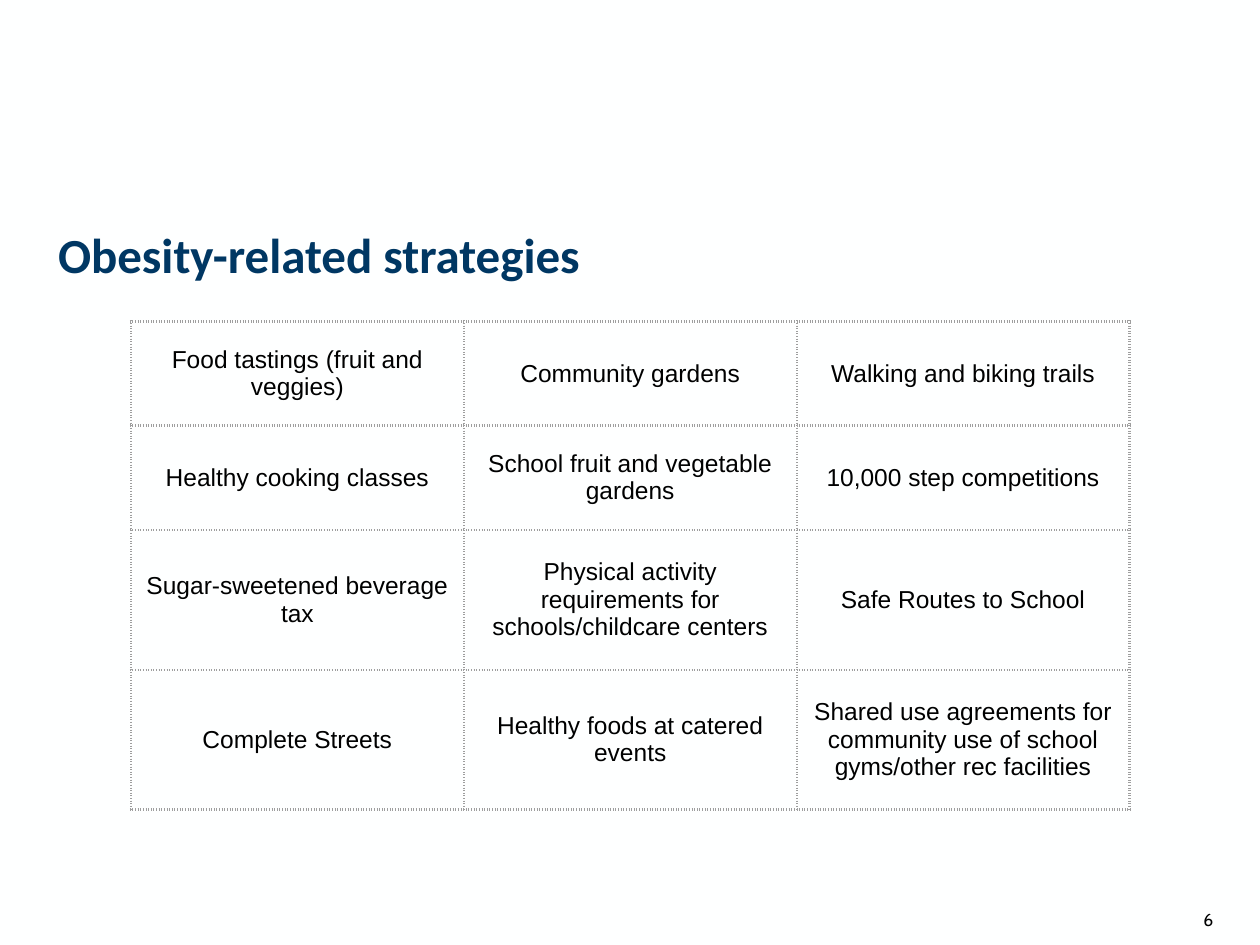
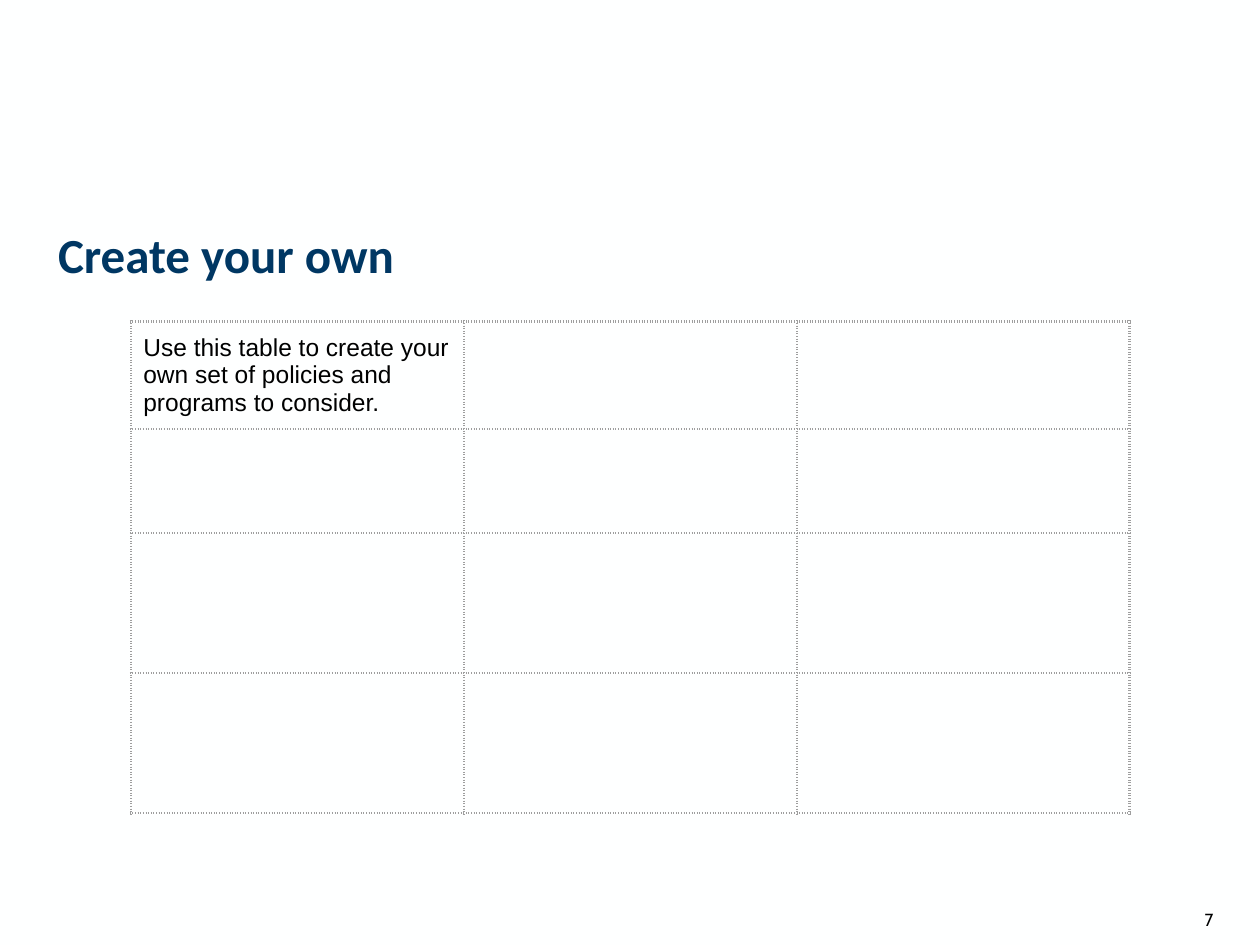
"""Builds two strategy-table slides that share one title, grid and page-number style."""
from dataclasses import dataclass

from lxml import etree
from pptx import Presentation
from pptx.dml.color import RGBColor
from pptx.enum.text import MSO_ANCHOR, MSO_AUTO_SIZE, PP_ALIGN
from pptx.oxml.ns import qn
from pptx.util import Cm, Pt

LEFT, CENTER, RIGHT = PP_ALIGN.LEFT, PP_ALIGN.CENTER, PP_ALIGN.RIGHT
MIDDLE, BOTTOM = MSO_ANCHOR.MIDDLE, MSO_ANCHOR.BOTTOM
NO_AUTOFIT = MSO_AUTO_SIZE.NONE

PAPER, NAVY, BLACK, GRAY = "FEFFFF", "003763", "000000", "9E9E9E"
TITLE_ONLY = 5
COLUMNS = 3
COLUMN_WIDTH = Cm(6.71)
ROW_HEIGHTS = (Cm(2.1), Cm(2.1), Cm(2.82), Cm(2.82))
CELL_MARGIN = Cm(0.25)
BORDER_WIDTH = Pt(1.5)


@dataclass(frozen=True)
class TextStyle:
    font: str
    size: int
    color: str
    align: PP_ALIGN
    bold: bool = False


@dataclass(frozen=True)
class StrategySlide:
    number: int
    title: str
    rows: tuple
    align: PP_ALIGN


TITLE_STYLE = TextStyle("Calibri", 28, NAVY, LEFT, True)
NUMBER_STYLE = TextStyle("Cabin", 10, BLACK, RIGHT)

SLIDES = (
    StrategySlide(6, "Obesity-related strategies", (
        ("Food tastings (fruit and veggies)", "Community gardens",
         "Walking and biking trails"),
        ("Healthy cooking classes", "School fruit and vegetable gardens",
         "10,000 step competitions"),
        ("Sugar-sweetened beverage tax",
         "Physical activity requirements for schools/childcare centers",
         "Safe Routes to School"),
        ("Complete Streets", "Healthy foods at catered events",
         "Shared use agreements for community use of school gyms/other rec facilities"),
    ), CENTER),
    StrategySlide(7, "Create your own", (
        ("Use this table to create your own set of policies and programs to consider.",),
    ), LEFT),
)


def rgb(color: str) -> RGBColor:
    return RGBColor.from_string(color)


def set_text(tf, text: str, style: TextStyle) -> None:
    tf.text = text
    p = tf.paragraphs[0]
    p.alignment = style.align
    p.font.name = style.font
    p.font.size = Pt(style.size)
    p.font.bold = style.bold
    p.font.color.rgb = rgb(style.color)


def set_margins(target, horizontal: int, vertical: int) -> None:
    target.margin_left = target.margin_right = horizontal
    target.margin_top = target.margin_bottom = vertical


def add_title(s, text: str) -> None:
    sp = s.shapes.title
    sp.left, sp.top, sp.width, sp.height = Cm(1.17), Cm(4.19), Cm(23.09), Cm(1.52)
    tf = sp.text_frame
    tf.auto_size = NO_AUTOFIT
    tf.vertical_anchor = BOTTOM
    set_margins(tf, 0, 0)
    set_text(tf, text, TITLE_STYLE)


def add_page_number(s, number: int) -> None:
    tf = s.shapes.add_textbox(Cm(23.8), Cm(18.21), Cm(0.89), Cm(0.66)).text_frame
    tf.word_wrap = True
    set_margins(tf, Cm(0.23), Cm(0.11))
    set_text(tf, str(number), NUMBER_STYLE)


def set_dotted_borders(cell) -> None:
    tc_pr = cell._tc.get_or_add_tcPr()
    for i, side in enumerate(("lnL", "lnR", "lnT", "lnB")):
        ln = etree.Element(qn(f"a:{side}"), w=str(BORDER_WIDTH))
        fill = etree.SubElement(ln, qn("a:solidFill"))
        etree.SubElement(fill, qn("a:srgbClr"), val=GRAY)
        etree.SubElement(ln, qn("a:prstDash"), val="dot")
        tc_pr.insert(i, ln)


def add_strategy_table(s, rows: tuple, align: PP_ALIGN) -> None:
    table = s.shapes.add_table(
        len(ROW_HEIGHTS), COLUMNS, Cm(2.64), Cm(6.48),
        COLUMN_WIDTH * COLUMNS, sum(ROW_HEIGHTS)).table
    table.first_row = table.horz_banding = False
    for column in table.columns:
        column.width = COLUMN_WIDTH
    for row, height in zip(table.rows, ROW_HEIGHTS):
        row.height = height
    for cell in table.iter_cells():
        cell.fill.background()
        cell.vertical_anchor = MIDDLE
        set_margins(cell, CELL_MARGIN, CELL_MARGIN)
        set_dotted_borders(cell)
    style = TextStyle("Arial", 14, BLACK, align)
    for r, texts in enumerate(rows):
        for c, text in enumerate(texts):
            set_text(table.cell(r, c).text_frame, text, style)


def main() -> None:
    prs = Presentation()
    prs.slide_width, prs.slide_height = Cm(25.4), Cm(19.05)
    background = prs.slide_master.background.fill
    background.solid()
    background.fore_color.rgb = rgb(PAPER)
    for content in SLIDES:
        s = prs.slides.add_slide(prs.slide_layouts[TITLE_ONLY])
        add_title(s, content.title)
        add_strategy_table(s, content.rows, content.align)
        add_page_number(s, content.number)
    prs.save("out.pptx")


if __name__ == "__main__":
    main()
